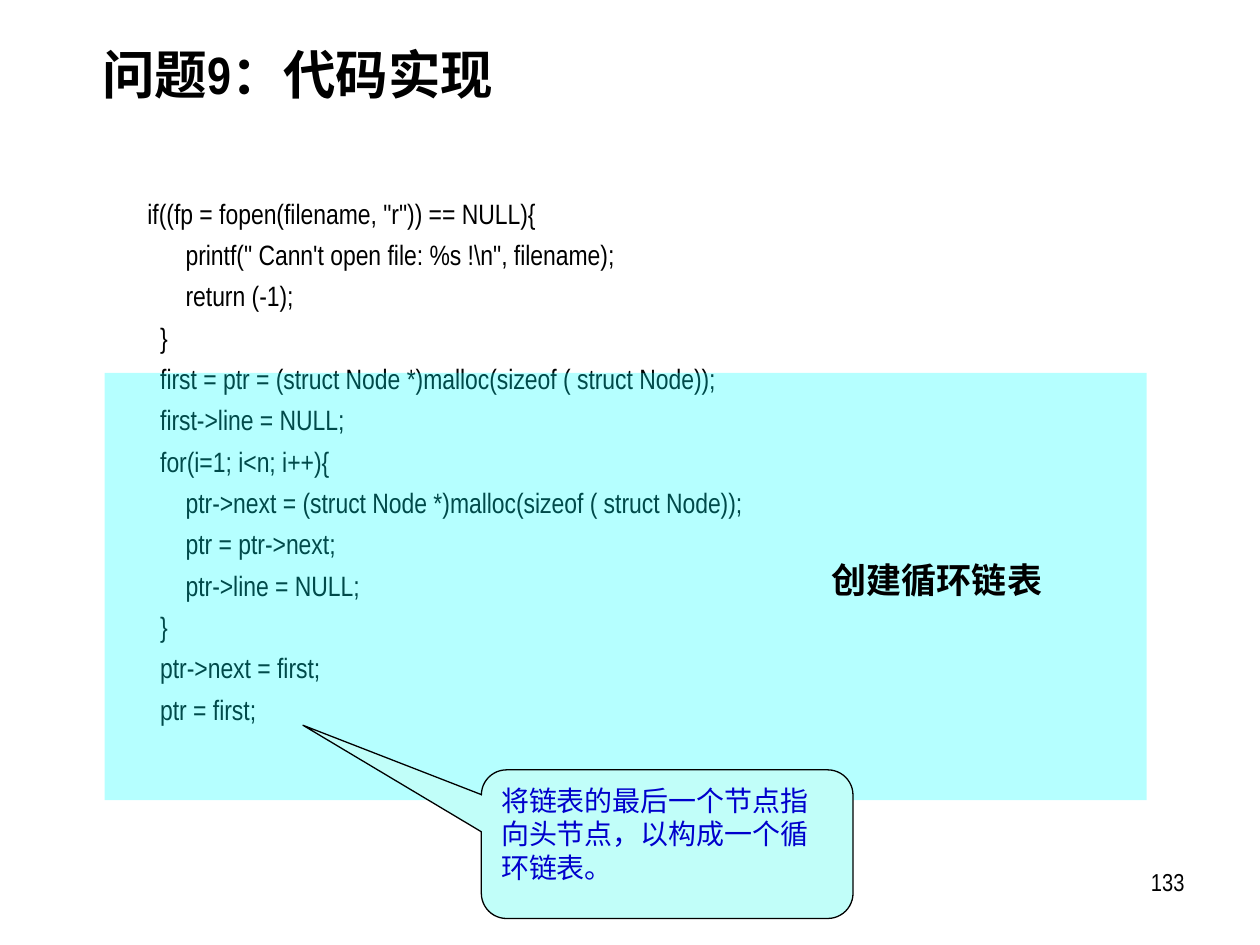
import pptx
import pptx.util
import pptx.dml.color
import pptx.enum.shapes
import pptx.enum.text
import pptx.oxml
import pptx.oxml.ns
from lxml import etree

RGBColor = pptx.dml.color.RGBColor
BLACK = RGBColor(0x00, 0x00, 0x00)
CYAN = RGBColor(0x00, 0xFF, 0xFF)
PALE_CYAN = RGBColor(0xC1, 0xFE, 0xF9)
NOTE_BLUE = RGBColor(0x00, 0x00, 0xCC)

COLUMNS, ROWS = 100, 75
SLIDE_WIDTH = pptx.util.Inches(10)
SLIDE_HEIGHT = pptx.util.Inches(7.5)
NARROW = "Arial Narrow"
ALIGN = pptx.enum.text.PP_ALIGN
ANCHOR = pptx.enum.text.MSO_ANCHOR
SHAPE = pptx.enum.shapes.MSO_SHAPE

CODE = r'''if((fp = fopen(filename, "r")) == NULL){
      printf(" Cann't open file: %s !\n", filename);
      return (-1);
  }
  first = ptr = (struct Node *)malloc(sizeof ( struct Node));
  first->line = NULL;
  for(i=1; i<n; i++){
      ptr->next = (struct Node *)malloc(sizeof ( struct Node));
      ptr = ptr->next;
      ptr->line = NULL;
  }
  ptr->next = first;
  ptr = first;'''


def grid(column, row, columns, rows):
    """Turn grid cells into left, top, width and height."""
    column_width, row_height = SLIDE_WIDTH / COLUMNS, SLIDE_HEIGHT / ROWS
    return (round(column * column_width), round(row * row_height),
            round(columns * column_width), round(rows * row_height))


def move(shape, box):
    shape.left, shape.top, shape.width, shape.height = box


def format_paragraph(paragraph, size, name, color=BLACK, bold=False, align=ALIGN.LEFT):
    paragraph.alignment = align
    font = paragraph.font
    font.size = pptx.util.Pt(size)
    font.name = name
    font.bold = bold
    font.color.rgb = color


def add_title(slide, box):
    title = slide.shapes.title
    move(title, box)
    frame = title.text_frame
    frame.text = "问题9：代码实现"
    frame.vertical_anchor = ANCHOR.MIDDLE
    frame.auto_size = pptx.enum.text.MSO_AUTO_SIZE.NONE
    paragraph = frame.paragraphs[0]
    paragraph.line_spacing = 0.8
    format_paragraph(paragraph, 30, NARROW, bold=True)


def add_code(slide, box):
    body = slide.placeholders[1]
    move(body, box)
    frame = body.text_frame
    frame.text = CODE
    frame.vertical_anchor = ANCHOR.TOP
    frame.auto_size = pptx.enum.text.MSO_AUTO_SIZE.NONE
    hanging = pptx.util.Inches(0.31)
    for index, paragraph in enumerate(frame.paragraphs):
        paragraph.line_spacing = 0.7
        paragraph.space_before = pptx.util.Pt(10.2 if index else 0)
        properties = paragraph._p.get_or_add_pPr()
        properties.set("marL", str(hanging))
        properties.set("indent", str(-hanging))
        etree.SubElement(properties, pptx.oxml.ns.qn("a:buNone"))
        format_paragraph(paragraph, 16, NARROW)


def add_text(slide, box, text, size, name, wrap=True, **style):
    text_box = slide.shapes.add_textbox(*box)
    frame = text_box.text_frame
    frame.word_wrap = wrap
    frame.text = text
    format_paragraph(frame.paragraphs[0], size, name, **style)


def add_highlight(slide, box):
    """Lay a see-through band over the lines that build the list, with its label."""
    left, top, width, height = box
    band = slide.shapes.add_shape(SHAPE.RECTANGLE, *box)
    band.shadow.inherit = False
    band.fill.solid()
    band.fill.fore_color.rgb = CYAN
    band.line.fill.background()
    color = band.fill._xPr.find(".//" + pptx.oxml.ns.qn("a:srgbClr"))
    etree.SubElement(color, pptx.oxml.ns.qn("a:alpha")).set("val", "29000")
    label_box = (left + round(width * 0.686), top + round(height * 0.42),
                 round(width * 0.23), round(height * 0.13))
    add_text(slide, label_box, "创建循环链表", 20, "Arial", wrap=False, bold=True)


def add_callout(slide, box):
    callout = slide.shapes.add_shape(SHAPE.ROUNDED_RECTANGULAR_CALLOUT, *box)
    for index, value in enumerate((-0.98, -0.8, 0.17)):
        callout.adjustments[index] = value
    callout.shadow.inherit = False
    callout.fill.solid()
    callout.fill.fore_color.rgb = PALE_CYAN
    callout.line.color.rgb = BLACK
    callout.line.width = pptx.util.Pt(0.75)
    frame = callout.text_frame
    frame.word_wrap = True
    frame.vertical_anchor = ANCHOR.TOP
    frame.text = "将链表的最后一个节点指向头节点，以构成一个循环链表。"
    format_paragraph(frame.paragraphs[0], 16, "Arial", NOTE_BLUE)


def main():
    presentation = pptx.Presentation()
    presentation.slide_width = SLIDE_WIDTH
    presentation.slide_height = SLIDE_HEIGHT
    slide = presentation.slides.add_slide(presentation.slide_layouts[1])
    add_title(slide, grid(7.1, 1.7, 89.6, 9.2))
    add_code(slide, grid(10.7, 15.8, 77.7, 49.8))
    add_highlight(slide, grid(8.3, 29.6, 82.7, 33.9))
    add_callout(slide, grid(38.2, 61.1, 29.5, 11.8))
    add_text(slide, grid(71.7, 68.3, 23.3, 5.2), "133", 14, NARROW, align=ALIGN.RIGHT)
    presentation.save("out.pptx")


if __name__ == "__main__":
    main()
